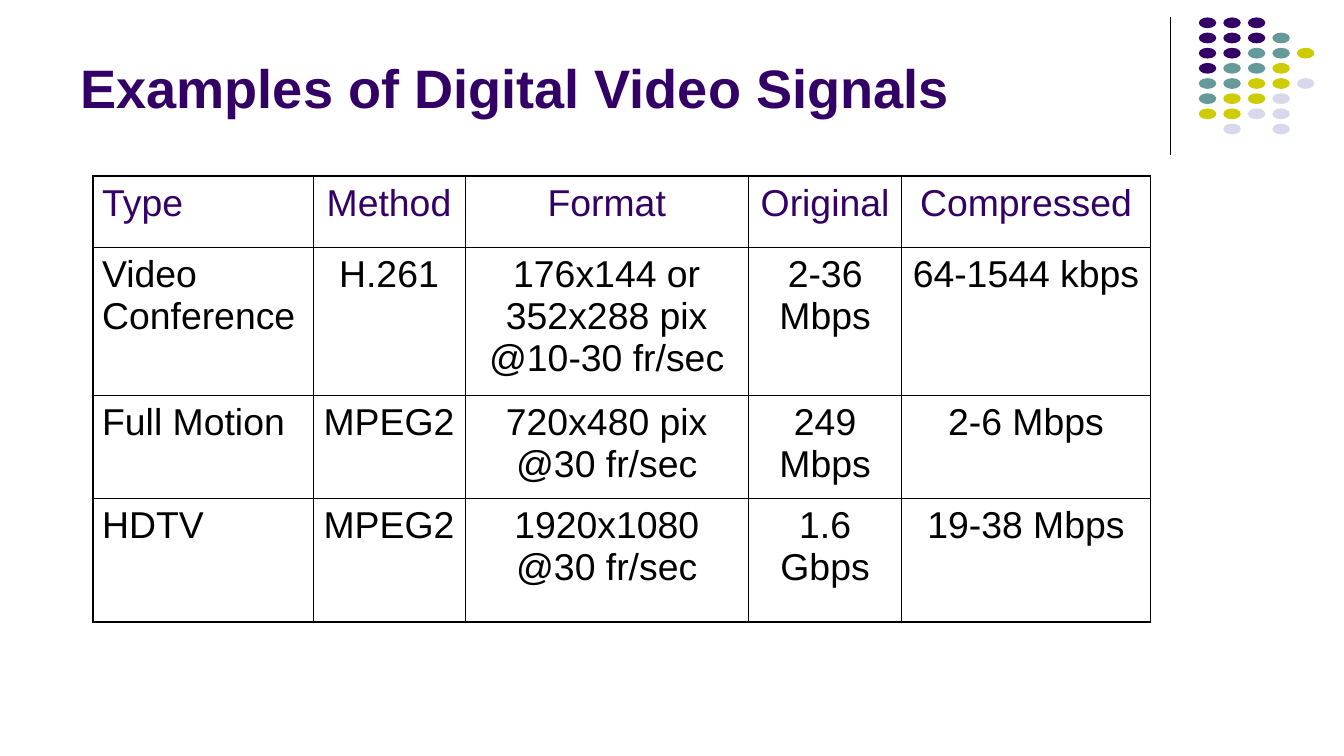
"""Build a slide with a table of digital video signals and a dotted corner ornament."""
from dataclasses import dataclass

from lxml import etree
from pptx import Presentation
from pptx.dml.color import RGBColor
from pptx.enum import shapes, text
from pptx.oxml import ns
from pptx.slide import Slide
from pptx.table import _Cell
from pptx.text.text import _Paragraph
from pptx.util import Inches, Pt


@dataclass(frozen=True)
class Theme:
    font: str = "Arial"
    purple: str = "330066"
    teal: str = "669999"
    olive: str = "CCCC00"
    lilac: str = "D8D8EC"
    ink: str = "000000"
    title_size: float = 29
    body_size: float = 20
    rule: float = 0.75
    inner_border: float = 0.45
    outer_border: float = 1.08


@dataclass(frozen=True)
class DotGrid:
    left: float
    top: float
    column_pitch: float
    row_pitch: float
    dot_width: float
    dot_height: float
    rows: tuple[str, ...]


@dataclass(frozen=True)
class Signal:
    kind: str
    method: str
    format: str
    original: str
    compressed: str

    def values(self) -> tuple[str, ...]:
        return self.kind, self.method, self.format, self.original, self.compressed


THEME = Theme()
DOT_COLORS = {"P": THEME.purple, "T": THEME.teal, "O": THEME.olive, "L": THEME.lilac}
ORNAMENT = DotGrid(
    8.92, 0.13, 0.73 / 4, 0.79 / 7, 0.13, 0.08,
    ("PPP", "PPPT", "PPTTO", "PTTO", "TTOOL", "TOOL", "OOLL", " L L"),
)
SIGNALS = (
    Signal("Type", "Method", "Format", "Original", "Compressed"),
    Signal("Video Conference", "H.261", "176x144 or 352x288 pix @10-30 fr/sec",
           "2-36 Mbps", "64-1544 kbps"),
    Signal("Full Motion", "MPEG2", "720x480 pix @30 fr/sec", "249 Mbps", "2-6 Mbps"),
    Signal("HDTV", "MPEG2", "1920x1080 @30 fr/sec", "1.6 Gbps", "19-38 Mbps"),
)
COLUMN_WIDTHS = (1.64, 1.13, 2.11, 1.14, 1.85)
ROW_HEIGHTS = (0.53, 1.07, 0.74, 0.92)


def style_runs(paragraph: _Paragraph, size: float, color: str, bold: bool = False) -> None:
    for run in paragraph.runs:
        run.font.name = THEME.font
        run.font.size = Pt(size)
        run.font.bold = bold
        run.font.color.rgb = RGBColor.from_string(color)


def draw_divider(slide: Slide) -> None:
    divider = slide.shapes.add_connector(
        shapes.MSO_CONNECTOR.STRAIGHT, Inches(8.71), Inches(0.13), Inches(8.71), Inches(1.15)
    )
    divider.line.color.rgb = RGBColor.from_string(THEME.ink)
    divider.line.width = Pt(THEME.rule)
    etree.SubElement(divider._element.spPr, ns.qn("a:effectLst"))


def draw_ornament(slide: Slide, grid: DotGrid) -> None:
    ornament = slide.shapes.add_group_shape()
    for row, codes in enumerate(grid.rows):
        for column, code in enumerate(codes):
            if code not in DOT_COLORS:
                continue
            dot = ornament.shapes.add_shape(
                shapes.MSO_SHAPE.OVAL,
                Inches(grid.left + column * grid.column_pitch),
                Inches(grid.top + row * grid.row_pitch),
                Inches(grid.dot_width),
                Inches(grid.dot_height),
            )
            dot.shadow.inherit = False
            dot.fill.solid()
            dot.fill.fore_color.rgb = RGBColor.from_string(DOT_COLORS[code])
            dot.line.fill.background()


def draw_title(slide: Slide, wording: str) -> None:
    title = slide.shapes.add_textbox(Inches(0.5), Inches(0.1), Inches(8.25), Inches(0.84))
    frame = title.text_frame
    frame.word_wrap = True
    frame.vertical_anchor = text.MSO_ANCHOR.BOTTOM
    frame.text = wording
    style_runs(frame.paragraphs[0], THEME.title_size, THEME.purple, bold=True)


def set_border(cell: _Cell, side: str, width: float) -> None:
    border = etree.SubElement(
        cell._tc.get_or_add_tcPr(), ns.qn(f"a:ln{side}"), w=str(int(Pt(width)))
    )
    fill = etree.SubElement(border, ns.qn("a:solidFill"))
    etree.SubElement(fill, ns.qn("a:srgbClr"), val=THEME.ink)


def fill_cell(cell: _Cell, wording: str, row: int, column: int) -> None:
    cell.margin_left = cell.margin_right = Inches(0.07)
    cell.margin_top = cell.margin_bottom = Inches(0.05)
    outer_sides = {
        "L": column == 0,
        "R": column == len(COLUMN_WIDTHS) - 1,
        "T": row == 0,
        "B": row == len(ROW_HEIGHTS) - 1,
    }
    for side, is_outer in outer_sides.items():
        set_border(cell, side, THEME.outer_border if is_outer else THEME.inner_border)
    cell.fill.background()
    cell.text_frame.text = wording
    paragraph = cell.text_frame.paragraphs[0]
    paragraph.alignment = text.PP_ALIGN.CENTER if column else text.PP_ALIGN.LEFT
    paragraph.space_before = Pt(5)
    style_runs(paragraph, THEME.body_size, THEME.ink if row else THEME.purple)


def draw_signals(slide: Slide) -> None:
    table = slide.shapes.add_table(
        len(ROW_HEIGHTS), len(COLUMN_WIDTHS), Inches(0.69), Inches(1.31),
        Inches(sum(COLUMN_WIDTHS)), Inches(sum(ROW_HEIGHTS)),
    ).table
    table.first_row = table.horz_banding = False
    for column, width in zip(table.columns, COLUMN_WIDTHS):
        column.width = Inches(width)
    for row, height in zip(table.rows, ROW_HEIGHTS):
        row.height = Inches(height)
    for row_index, signal in enumerate(SIGNALS):
        for column_index, wording in enumerate(signal.values()):
            fill_cell(table.cell(row_index, column_index), wording, row_index, column_index)


def main() -> None:
    deck = Presentation()
    deck.slide_width = Inches(10)
    deck.slide_height = Inches(10 * 9 / 16)
    slide = deck.slides.add_slide(deck.slide_layouts[6])
    draw_divider(slide)
    draw_ornament(slide, ORNAMENT)
    draw_title(slide, "Examples of Digital Video Signals")
    draw_signals(slide)
    deck.save("out.pptx")


if __name__ == "__main__":
    main()
